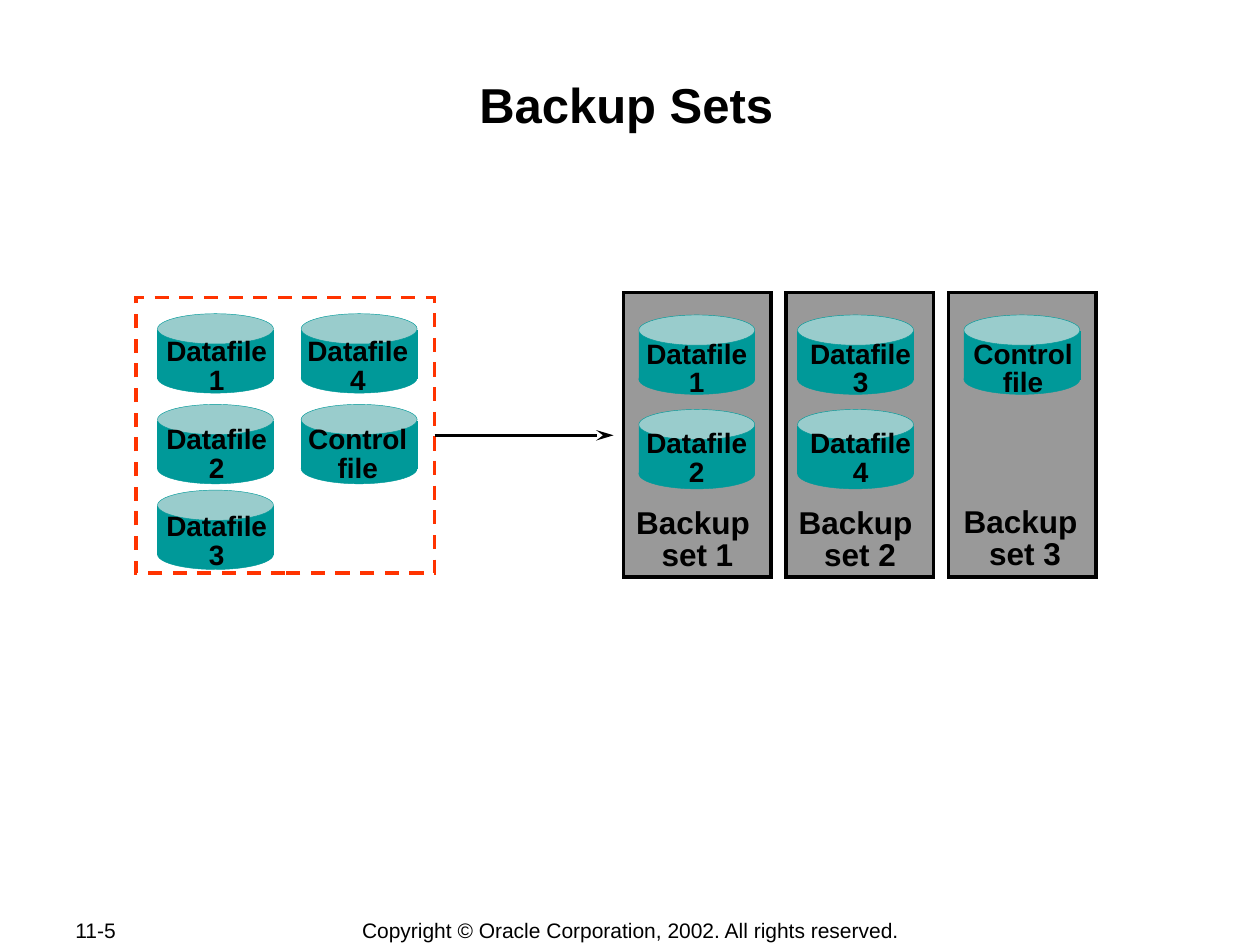
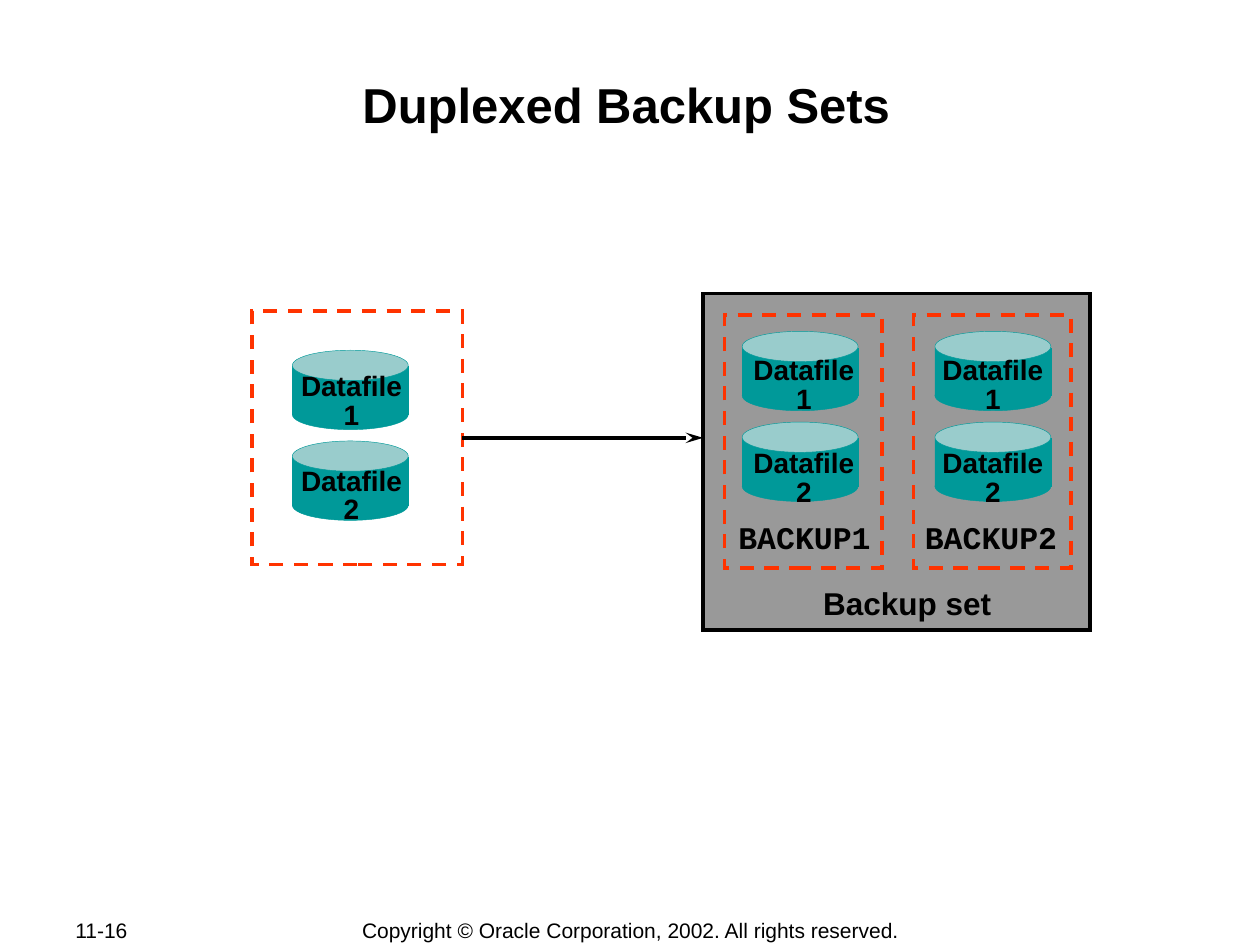
from copy import deepcopy

from lxml.etree import SubElement
from pptx import Presentation
from pptx.dml.color import RGBColor
from pptx.enum.dml import MSO_LINE
from pptx.enum.shapes import MSO_CONNECTOR, MSO_SHAPE as SHAPE
from pptx.enum.text import MSO_ANCHOR as ANCHOR, PP_ALIGN as ALIGN
from pptx.oxml.ns import qn
from pptx.util import Inches, Pt

BLACK, GREY, RED = "000000", "999999", "FF3300"
TEAL, PALE_TEAL = "009999", "99CCCC"
SANS, MONO = "Arial", "Courier New"
COPYRIGHT = "Copyright © Oracle Corporation, 2002. All rights reserved."

deck = Presentation()
deck.slide_width, deck.slide_height = Inches(10), Inches(7.5)
COLUMN, ROW = deck.slide_width / 100, deck.slide_height / 75
hex_colour = RGBColor.from_string


def add_block(shapes, kind, area, fill=None, line=BLACK, weight=2, dash=None):
    left, top, width, height = area
    block = shapes.add_shape(kind, round(left * COLUMN), round(top * ROW),
                             round(width * COLUMN), round(height * ROW))
    block.shadow.inherit = False
    if fill:
        block.fill.solid()
        block.fill.fore_color.rgb = hex_colour(fill)
    else:
        block.fill.background()
    block.line.color.rgb = hex_colour(line)
    block.line.width = Pt(weight)
    if dash:
        block.line.dash_style = dash
    SubElement(block.line._get_or_add_ln(), qn("a:miter"), lim="800000")
    return block


def add_text(page, text, area, size=18, font=SANS, bold=True, align=ALIGN.CENTER,
             anchor=ANCHOR.MIDDLE, insets=(0.06, 0.03), wrap=False, spacing=0.85):
    left, top, width, height = area
    box = page.shapes.add_textbox(round(left * COLUMN), round(top * ROW),
                                  round(width * COLUMN), round(height * ROW))
    frame = box.text_frame
    frame.word_wrap = wrap
    frame.vertical_anchor = anchor
    frame.margin_left = frame.margin_right = Inches(insets[0])
    frame.margin_top = frame.margin_bottom = Inches(insets[1])
    para = frame.paragraphs[0]
    para.text = text
    para.alignment = align
    para.line_spacing = spacing
    for span in para.runs:
        span.font.name = font
        span.font.size = Pt(size)
        span.font.bold = bold
        span.font.color.rgb = hex_colour(BLACK)
    for line_break in para._p.findall(qn("a:br")):
        line_break.append(deepcopy(para.runs[0]._r.rPr))


CYLINDER_PARTS = [
    (SHAPE.RECTANGLE, 1.3, 3.8, TEAL),
    (SHAPE.OVAL, 0, 2.4, PALE_TEAL),
    (SHAPE.OVAL, 3.9, 2.4, TEAL),
]

pages = [
    dict(
        title="Backup Sets",
        number="11-5",
        panels=[(49.5 + 12.9 * i, 23.2, 11.7, 22.6) for i in range(3)],
        frames=[(10.8, 23.6, 23.7, 21.9)],
        arrow_end=48.7,
        stacks=[
            (12.5, 11.9, [(24.9, 26.4, "Datafile 1"), (32.1, 33.4, "Datafile 2"),
                          (38.9, 40.3, "Datafile 3")]),
            (23.9, 23.1, [(24.9, 26.4, "Datafile 4"), (32.1, 33.4, "Control\nfile")]),
            (50.7, 50, [(25, 26.6, "Datafile 1"), (32.5, 33.7, "Datafile 2")]),
            (63.3, 63, [(25, 26.6, "Datafile 3"), (32.5, 33.7, "Datafile 4")]),
            (76.5, 75.9, [(25, 26.6, "Control\nfile")]),
        ],
        captions=[(49, 41.8, 12.7, "Backup \nset 1", SANS),
                  (61.9, 41.8, 12.7, "Backup \nset 2", SANS),
                  (75, 41.7, 12.7, "Backup \nset 3", SANS)],
    ),
    dict(
        title="Duplexed Backup Sets",
        number="11-16",
        panels=[(55.8, 23.3, 30.7, 26.7)],
        frames=[(20, 24.7, 16.7, 20.1), (57.5, 25, 12.5, 20.1), (72.5, 25, 12.5, 20.1)],
        arrow_end=55.8,
        stacks=[
            (23.2, 22.6, [(27.8, 29.2, "Datafile 1"), (35, 36.7, "Datafile 2")]),
            (58.9, 58.5, [(26.3, 27.9, "Datafile 1"), (33.5, 35.3, "Datafile 2")]),
            (74.2, 73.5, [(26.3, 27.9, "Datafile 1"), (33.5, 35.3, "Datafile 2")]),
        ],
        captions=[(57.5, 41.7, 12.7, "BACKUP1", MONO),
                  (72.3, 41.7, 12.7, "BACKUP2", MONO),
                  (62, 46.9, 20, "Backup set", SANS)],
    ),
]

for content in pages:
    page = deck.slides.add_slide(deck.slide_layouts[6])
    add_text(page, content["number"], (5, 72.8, 10.6, 2), size=12, bold=False,
             align=ALIGN.LEFT, insets=(0.1, 0.05), wrap=True, spacing=1)
    add_text(page, COPYRIGHT, (27.6, 72.8, 44.9, 2.1), size=12, bold=False,
             insets=(0.1, 0.05), spacing=1)
    add_text(page, content["title"], (9.7, 5.8, 80, 9.6), size=28, anchor=ANCHOR.TOP,
             insets=(0.01, 0.01), wrap=True, spacing=1)

    for area in content["panels"]:
        add_block(page.shapes, SHAPE.RECTANGLE, area, fill=GREY)
    frames = [add_block(page.shapes, SHAPE.RECTANGLE, area, line=RED, dash=MSO_LINE.DASH)
              for area in content["frames"]]

    source = frames[0]
    middle = source.top + source.height // 2
    arrow = page.shapes.add_connector(MSO_CONNECTOR.STRAIGHT, source.left + source.width, middle,
                                      round(content["arrow_end"] * COLUMN), middle)
    arrow.begin_connect(source, 3)
    arrow.line.color.rgb = hex_colour(BLACK)
    arrow.line.width = Pt(2)
    SubElement(arrow.line._get_or_add_ln(), qn("a:tailEnd"), type="stealth", w="med", len="lg")
    SubElement(arrow._element.spPr, qn("a:effectLst"))

    for cylinder_left, label_left, files in content["stacks"]:
        for cylinder_top, label_top, name in files:
            cylinder = page.shapes.add_group_shape()
            for kind, offset, height, colour in CYLINDER_PARTS:
                add_block(cylinder.shapes, kind,
                          (cylinder_left, cylinder_top + offset, 9.2, height),
                          fill=colour, line=TEAL, weight=0.25)
            add_text(page, name, (label_left, label_top, 10.6, 5.4), size=16,
                     anchor=ANCHOR.TOP, insets=(0.09, 0.05), wrap=True)

    for left, top, width, text, font in content["captions"]:
        add_text(page, text, (left, top, width, 2.3), font=font)

deck.save("out.pptx")
